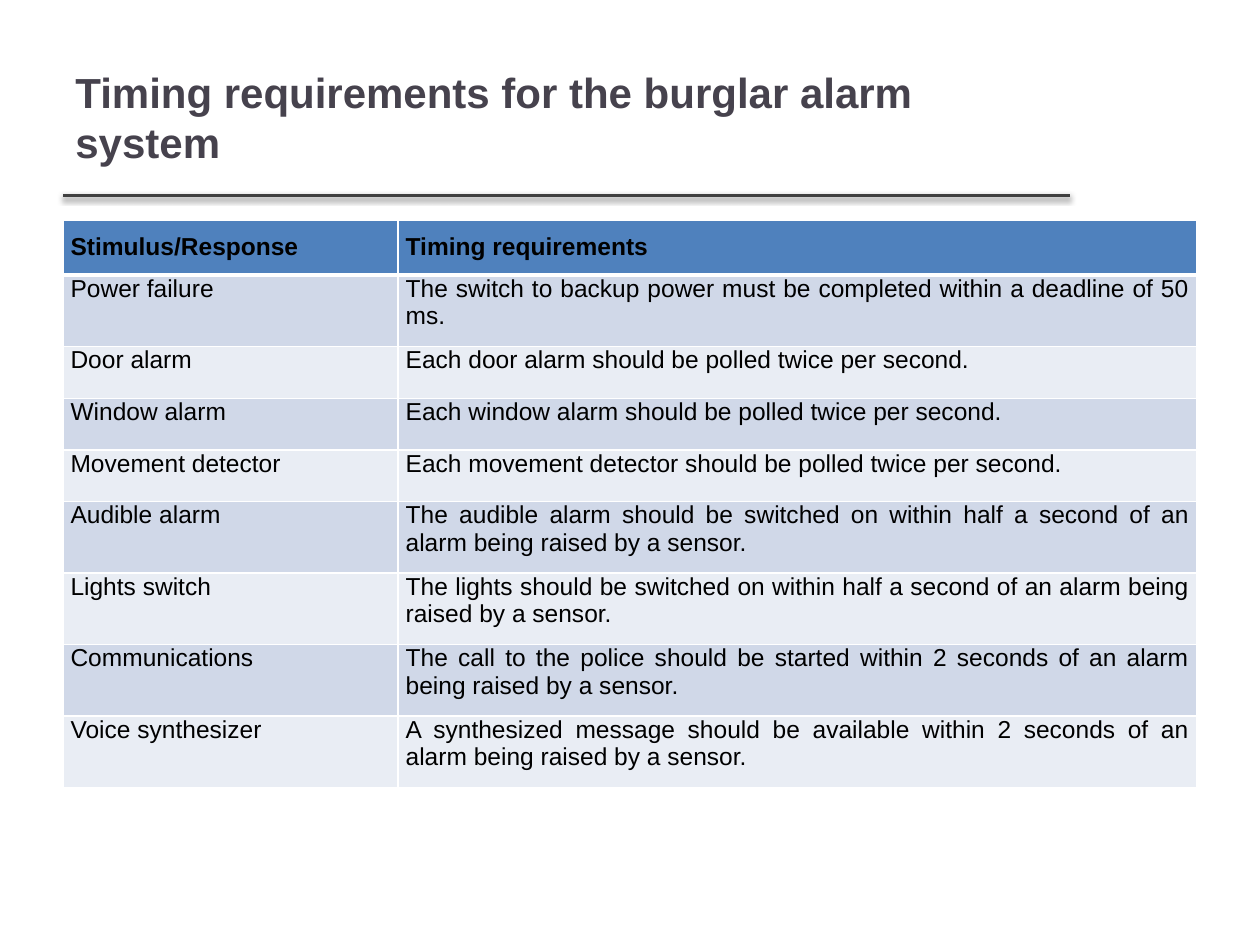
"""Build a slide listing the timing requirements of a burglar alarm system."""
import pptx
import pptx.dml.color
import pptx.enum.shapes
import pptx.enum.text
import pptx.oxml
import pptx.oxml.ns
import pptx.util
from pptx.util import Inches

THEME = {
    "font": "Arial",
    "title_size": 24,
    "table_size": 14,
    "title": "46424D",
    "text": "000000",
    "rule": "404040",
    "border": "FFFFFF",
    "header": "4F81BD",
    "bands": ("D0D8E8", "E9EDF4"),
}
NAMESPACE = pptx.oxml.ns.nsdecls("a")
ROWS = (
    ("Stimulus/Response", "Timing requirements"),
    ("Power failure", "The switch to backup power must be completed within a deadline of 50 ms."),
    ("Door alarm", "Each door alarm should be polled twice per second."),
    ("Window alarm", "Each window alarm should be polled twice per second."),
    ("Movement detector", "Each movement detector should be polled twice per second."),
    ("Audible alarm", "The audible alarm should be switched on within half a second of an alarm being raised by a sensor."),
    ("Lights switch", "The lights should be switched on within half a second of an alarm being raised by a sensor."),
    ("Communications", "The call to the police should be started within 2 seconds of an alarm being raised by a sensor."),
    ("Voice synthesizer", "A synthesized message should be available within 2 seconds of an alarm being raised by a sensor."),
)


def write(frame, text, size, color, bold):
    frame.text = text
    font = frame.paragraphs[0].runs[0].font
    font.name = THEME["font"]
    font.size = pptx.util.Pt(size)
    font.bold = bold
    font.color.rgb = pptx.dml.color.RGBColor.from_string(color)


def add_border(cell, side, points):
    properties = cell._tc.get_or_add_tcPr()
    border = pptx.oxml.parse_xml(
        f'<a:{side} {NAMESPACE} w="{pptx.util.Pt(points)}"><a:solidFill>'
        f'<a:srgbClr val="{THEME["border"]}"/></a:solidFill></a:{side}>'
    )
    properties.append(border)


deck = pptx.Presentation()
deck.slide_width = Inches(10)
deck.slide_height = Inches(7.5)
page = deck.slides.add_slide(deck.slide_layouts[6])

rule = page.shapes.add_connector(
    pptx.enum.shapes.MSO_CONNECTOR.STRAIGHT, Inches(0.5), Inches(1.55), Inches(8.49), Inches(1.55)
)
rule.line.width = pptx.util.Pt(2)
rule.line.color.rgb = pptx.dml.color.RGBColor.from_string(THEME["rule"])
shadow = pptx.oxml.parse_xml(
    f'<a:effectLst {NAMESPACE}><a:outerShdw blurRad="{pptx.util.Pt(3.1)}" dist="{pptx.util.Pt(1.6)}" '
    'dir="5400000" rotWithShape="0"><a:srgbClr val="000000"><a:alpha val="38000"/></a:srgbClr>'
    "</a:outerShdw></a:effectLst>"
)
rule._element.spPr.append(shadow)

title = page.shapes.add_textbox(Inches(0.5), Inches(0.3), Inches(7.98), Inches(1.25))
title.text_frame.word_wrap = True
title.text_frame.vertical_anchor = pptx.enum.text.MSO_ANCHOR.MIDDLE
write(title.text_frame, "Timing requirements for the burglar alarm system", THEME["title_size"], THEME["title"], True)

table = page.shapes.add_table(
    len(ROWS), 2, Inches(0.5), Inches(1.75), Inches(9), Inches(0.41 * len(ROWS))
).table
for column, width in zip(table.columns, (2.66, 6.34)):
    column.width = Inches(width)

for row_index, texts in enumerate(ROWS):
    is_header = row_index == 0
    fill = THEME["header"] if is_header else THEME["bands"][(row_index - 1) % 2]
    for column_index, text in enumerate(texts):
        cell = table.cell(row_index, column_index)
        cell.margin_left = cell.margin_right = Inches(0.06)
        cell.margin_top = Inches(0.1 if is_header else 0)
        cell.margin_bottom = Inches(0.1)
        write(cell.text_frame, text, THEME["table_size"], THEME["text"], is_header)
        cell.text_frame.paragraphs[0].alignment = pptx.enum.text.PP_ALIGN.JUSTIFY
        for side in ("lnL", "lnR", "lnT", "lnB"):
            thick = (row_index, side) in ((0, "lnB"), (1, "lnT"))
            add_border(cell, side, 3 if thick else 1)
        cell.fill.solid()
        cell.fill.fore_color.rgb = pptx.dml.color.RGBColor.from_string(fill)

deck.save("out.pptx")
